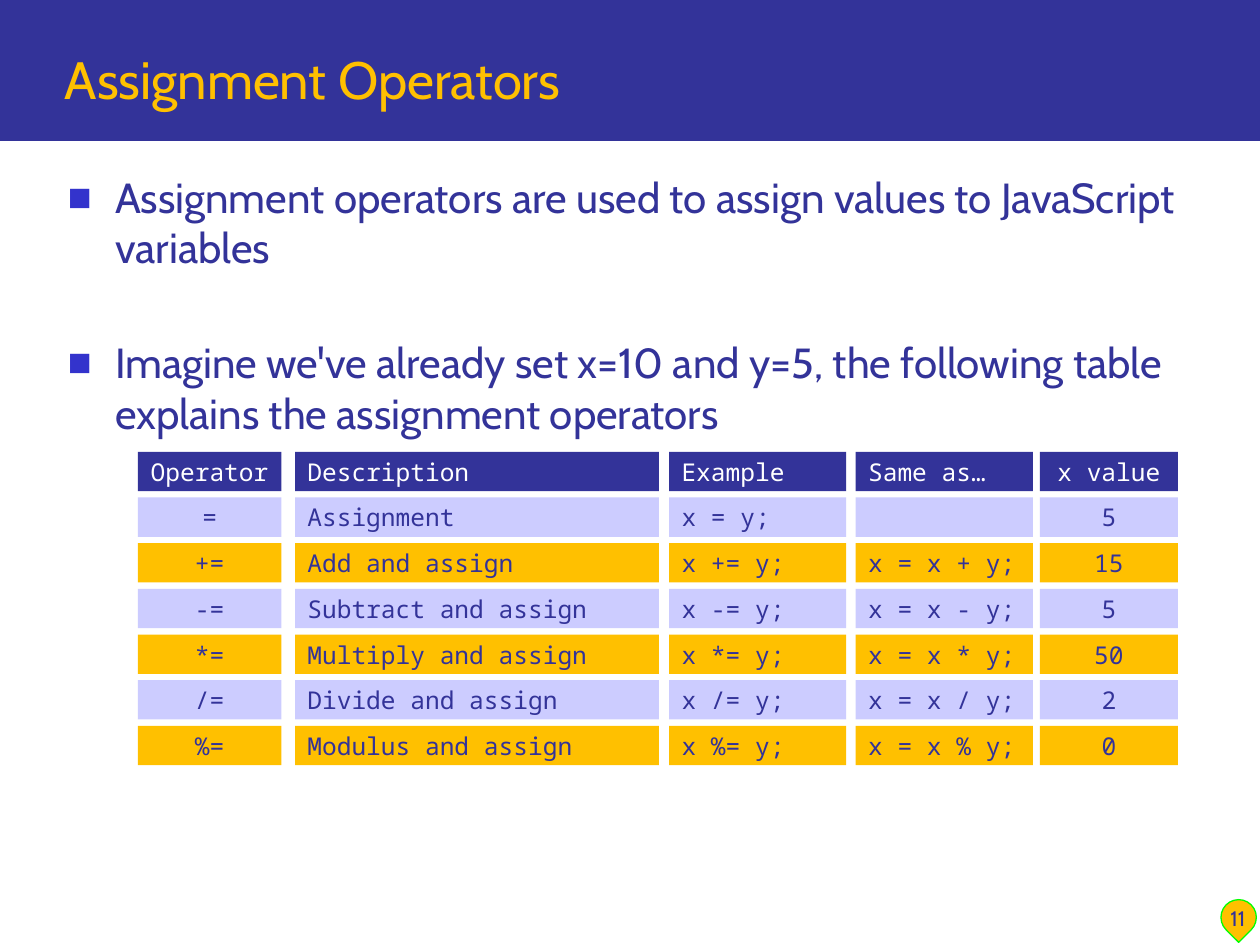
from dataclasses import dataclass

from lxml import etree
from pptx import Presentation
from pptx.dml.color import RGBColor
from pptx.enum import shapes, text
from pptx.oxml import ns
from pptx.util import Pt


@dataclass(frozen=True)
class Theme:
    navy: str = "333399"
    gold: str = "FFC000"
    lavender: str = "CCCCFF"
    white: str = "FFFFFF"
    bullet: str = "3333CC"
    marker_edge: str = "00FF00"
    body_font: str = "Cabin"
    code_font: str = "Noto Sans Mono"
    title_size: float = 30
    body_size: float = 24
    code_size: float = 14
    number_size: float = 12


@dataclass(frozen=True)
class Box:
    left: float
    top: float
    width: float
    height: float

    def lengths(self):
        return [Pt(v) for v in (self.left, self.top, self.width, self.height)]


THEME = Theme()
LEFT, CENTER = text.PP_ALIGN.LEFT, text.PP_ALIGN.CENTER
MIDDLE, BOTTOM = text.MSO_ANCHOR.MIDDLE, text.MSO_ANCHOR.BOTTOM
COLUMNS = [(0, 82, CENTER), (89.8, 208, LEFT), (303.6, 101.2, LEFT),
           (410.2, 101.2, LEFT), (515.5, 78.8, CENTER)]
OPERATORS = [
    ("Operator", "Description", "Example", "Same as…", "x value"),
    ("=", "Assignment", "x = y;", "", "5"),
    ("+=", "Add and assign", "x += y;", "x = x + y;", "15"),
    ("-=", "Subtract and assign", "x -= y;", "x = x - y;", "5"),
    ("*=", "Multiply and assign", "x *= y;", "x = x * y;", "50"),
    ("/=", "Divide and assign", "x /= y;", "x = x / y;", "2"),
    ("%=", "Modulus and assign", "x %= y;", "x = x % y;", "0"),
]
POINTS = [
    "Assignment operators are used to assign values to JavaScript variables",
    "Imagine we've already set x=10 and y=5, the following table explains "
    "the assignment operators",
]


def rgb(color):
    return RGBColor.from_string(color)


def style_paragraph(paragraph, font, size, color, align=LEFT):
    paragraph.alignment = align
    for run in paragraph.runs:
        run.font.name = font
        run.font.size = Pt(size)
        run.font.color.rgb = rgb(color)


def set_indent(paragraph, hanging):
    properties = paragraph._p.get_or_add_pPr()
    properties.set("marL", str(Pt(hanging)))
    properties.set("indent", str(-Pt(hanging)))
    return properties


def add_bullet(paragraph):
    properties = set_indent(paragraph, 27)
    color = etree.SubElement(properties, ns.qn("a:buClr"))
    etree.SubElement(color, ns.qn("a:srgbClr"), val=THEME.bullet)
    etree.SubElement(properties, ns.qn("a:buSzPct"), val="60000")
    etree.SubElement(properties, ns.qn("a:buFont"), typeface=THEME.body_font)
    etree.SubElement(properties, ns.qn("a:buChar"), char="■")


def add_panel(slide, kind, box, fill, edge=None):
    panel = slide.shapes.add_shape(kind, *box.lengths())
    panel.shadow.inherit = False
    panel.fill.solid()
    panel.fill.fore_color.rgb = rgb(fill)
    if edge:
        panel.line.color.rgb = rgb(edge)
        panel.line.width = Pt(0.75)
    else:
        panel.line.fill.background()
    return panel


def add_header(slide, box):
    band = add_panel(slide, shapes.MSO_SHAPE.RECTANGLE, box, THEME.navy)
    title = slide.shapes.title
    title.element.addprevious(band.element)
    title.left, title.top, title.width, title.height = Box(
        box.left + 29.8, box.top + 11.5, box.width - 46.8, 54.7).lengths()
    frame = title.text_frame
    frame.text = "Assignment Operators"
    frame.auto_size = text.MSO_AUTO_SIZE.NONE
    frame.vertical_anchor = BOTTOM
    set_indent(frame.paragraphs[0], 36)
    style_paragraph(frame.paragraphs[0], THEME.body_font, THEME.title_size,
                    THEME.gold)


def add_points(slide, box):
    frame = slide.shapes.add_textbox(*box.lengths()).text_frame
    frame.word_wrap = True
    frame.text = "\n".join(POINTS)
    for index, paragraph in enumerate(frame.paragraphs):
        add_bullet(paragraph)
        paragraph.space_before = Pt(37 if index else 0)
        style_paragraph(paragraph, THEME.body_font, THEME.body_size, THEME.navy)


def add_operator_grid(slide, box):
    pitch, cell_height = box.height / len(OPERATORS), 22.5
    for row, entries in enumerate(OPERATORS):
        fill = (THEME.lavender if row % 2 else THEME.gold) if row else THEME.navy
        ink = THEME.navy if row else THEME.white
        for entry, (offset, width, align) in zip(entries, COLUMNS):
            cell = add_panel(
                slide, shapes.MSO_SHAPE.RECTANGLE,
                Box(box.left + offset, box.top + row * pitch, width, cell_height),
                fill)
            if entry:
                frame = cell.text_frame
                frame.text = entry
                frame.word_wrap = align == LEFT
                frame.vertical_anchor = MIDDLE
                frame.margin_top = frame.margin_bottom = 0
                style_paragraph(frame.paragraphs[0], THEME.code_font,
                                THEME.code_size, ink, align)


def add_page_number(slide, box):
    marker = add_panel(slide, shapes.MSO_SHAPE.TEAR,
                       Box(box.left + 10.8, box.top + 14.4, 20.2, 20.2),
                       THEME.gold, THEME.marker_edge)
    marker.rotation = 134.9
    frame = slide.shapes.add_textbox(*box.lengths()).text_frame
    frame.text = "11"
    frame.word_wrap = True
    frame.vertical_anchor = BOTTOM
    style_paragraph(frame.paragraphs[0], THEME.body_font, THEME.number_size,
                    THEME.navy, CENTER)


def main():
    deck = Presentation()
    deck.slide_width, deck.slide_height = Pt(720), Pt(540)
    slide = deck.slides.add_slide(deck.slide_layouts[5])
    add_header(slide, Box(0, 0, 720, 80.6))
    add_points(slide, Box(31.7, 94.3, 668.2, 388.8))
    add_operator_grid(slide, Box(78.8, 258.2, 594.3, 182.7))
    add_page_number(slide, Box(686.9, 499.7, 41, 36))
    deck.save("out.pptx")


if __name__ == "__main__":
    main()
